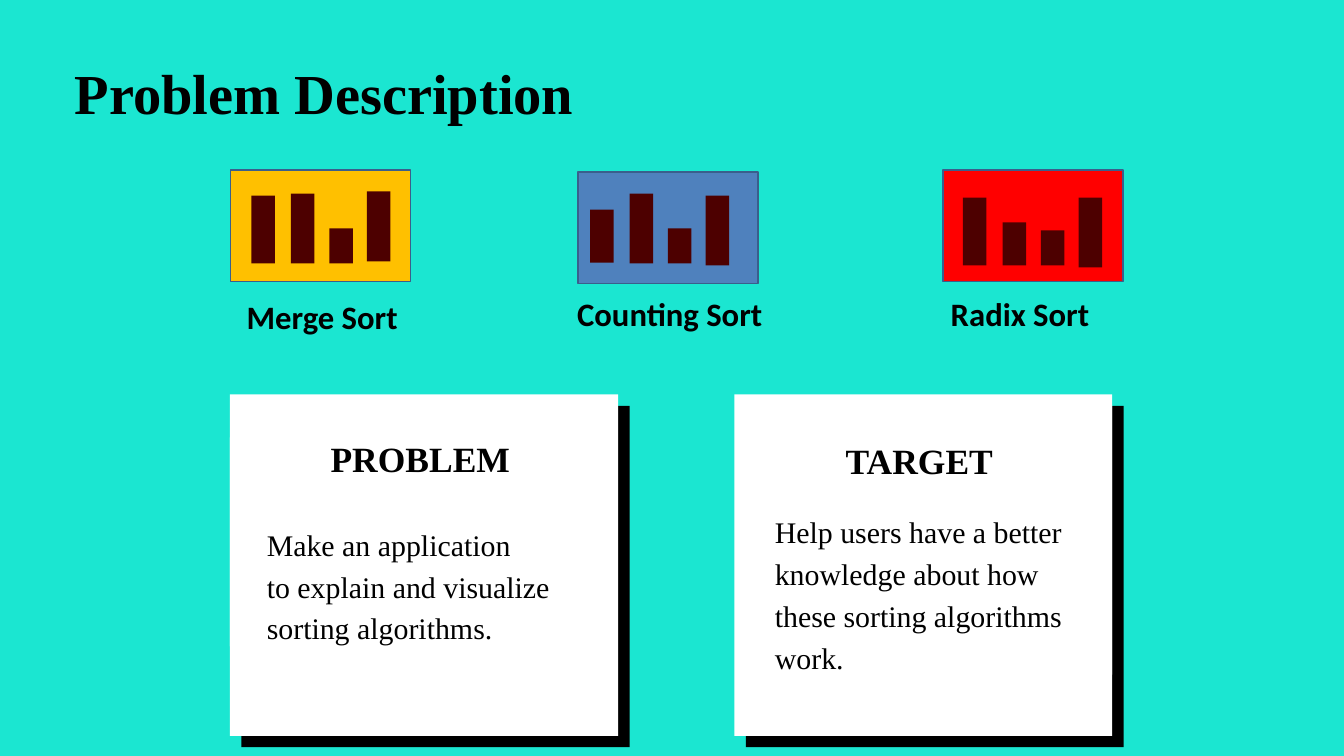
from pptx import Presentation, util as u
from pptx.dml.color import RGBColor
from pptx.enum import shapes, text

COLUMNS, ROWS = 20, 11.25
SERIF, SANS = "Times New Roman", "Calibri"
HEADING = {"size": u.Pt(38), "bold": True, "name": SERIF}
BODY = {"size": u.Pt(32), "bold": False, "name": SERIF}


def color(hex_code):
    return RGBColor.from_string(hex_code)


class Board:
    """Holds the style and the current slide; lengths are grid columns and rows."""
    background, ink, paper = "1BE6D1", "000000", "FFFFFF"
    bar, border = "4D0000", "3A5F8C"

    def __init__(self, deck):
        self.column = deck.slide_width / COLUMNS
        self.row = deck.slide_height / ROWS
        self.slide = deck.slides.add_slide(deck.slide_layouts[6])
        fill = self.slide.background.fill
        fill.solid()
        fill.fore_color.rgb = color(self.background)

    def area(self, left, top, width, height):
        return (round(left * self.column), round(top * self.row),
                round(width * self.column), round(height * self.row))

    def box(self, place, fill, border=None):
        box = self.slide.shapes.add_shape(
            shapes.MSO_SHAPE.RECTANGLE, *self.area(*place))
        box.shadow.inherit = False
        box.fill.solid()
        box.fill.fore_color.rgb = color(fill)
        if border:
            box.line.color.rgb = color(border)
            box.line.width = u.Pt(2)
        else:
            box.line.fill.background()
        return box

    def fill_text(self, frame, paragraphs, insets=(0, 0)):
        """Each paragraph is (words, font values, paragraph values, margins)."""
        side, top = (u.Inches(inset) for inset in insets)
        settings = {"word_wrap": True, "vertical_anchor": text.MSO_ANCHOR.TOP,
                    "margin_left": side, "margin_right": side,
                    "margin_top": top, "margin_bottom": 0}
        for name, value in settings.items():
            setattr(frame, name, value)
        for index, (words, font, layout, margins) in enumerate(paragraphs):
            line = frame.add_paragraph() if index else frame.paragraphs[0]
            line.text = words
            for name, value in {"alignment": text.PP_ALIGN.LEFT, **layout}.items():
                setattr(line, name, value)
            for name, value in margins.items():
                line._p.get_or_add_pPr().set(name, str(u.Inches(value)))
            for name, value in font.items():
                setattr(line.font, name, value)
            line.font.color.rgb = color(self.ink)

    def label(self, place, words, size, font, insets=(0, 0)):
        label = self.slide.shapes.add_textbox(*self.area(*place))
        style = {"size": u.Pt(size), "bold": True, "name": font}
        self.fill_text(label.text_frame, [(words, style, {}, {})], insets)

    def tile(self, left, top, fill, first_bar, bars):
        """A framed tile with four bars, each given as (top, height)."""
        self.box((left, top, 2.68, 1.66), fill, self.border)
        for step, (drop, height) in zip((0, 0.59, 1.16, 1.72), bars):
            self.box((left + first_bar + step, top + drop, 0.35, height), self.bar)

    def card(self, left, width, text_place, paragraphs, top_inset):
        """A white card over its black offset, with text on top."""
        for offset, fill in ((0.17, self.ink), (0, self.paper)):
            self.box((left + offset, 5.87 + offset, width, 5.08), fill)
        content = self.box(text_place, self.paper)
        self.fill_text(content.text_frame, paragraphs, (0, top_inset))


def main():
    deck = Presentation()
    deck.slide_width, deck.slide_height = u.Inches(COLUMNS), u.Inches(ROWS)
    board = Board(deck)

    # Title
    board.label((1.11, 0.86, 17.78, 1.04), "Problem Description", 60.5, SERIF)

    # Sorting algorithms: tile and caption
    algorithms = [
        ("Merge Sort", (3.57, 4.37, 2.71, 0.69), (3.43, 2.53), "FFC000", 0.31,
         [(0.38, 1.01), (0.35, 1.04), (0.87, 0.52), (0.32, 1.04)]),
        ("Counting Sort", (8.49, 4.33, 3.02, 0.69), (8.6, 2.56), "4F81BD", 0.18,
         [(0.56, 0.79), (0.32, 1.04), (0.84, 0.52), (0.35, 1.04)]),
        ("Radix Sort", (14.05, 4.33, 2.67, 0.69), (14.03, 2.53), "FF0000", 0.3,
         [(0.41, 1.01), (0.78, 0.64), (0.9, 0.52), (0.41, 1.04)]),
    ]
    for caption, caption_place, corner, fill, first_bar, bars in algorithms:
        board.tile(*corner, fill, first_bar, bars)
        board.label(caption_place, caption, 35, SANS, (0.1, 0.05))

    # Problem card
    spaced = {"line_spacing": 1.17}
    indent = {"marL": 0.55}
    board.card(3.42, 5.78, (3.42, 6.51, 5.6, 3.11), [
        ("PROBLEM", HEADING, {}, {"marL": 1.5}),
        ("Make an application", BODY, {**spaced, "space_before": u.Pt(43)}, indent),
        ("to explain and visualize sorting algorithms.", BODY, spaced, indent),
    ], 0)

    # Target card
    margins = {"marL": 0.47, "marR": 0.72}
    board.card(10.93, 5.62, (11.06, 6.03, 5.49, 4.01), [
        ("TARGET", HEADING, {**spaced, "alignment": text.PP_ALIGN.CENTER}, margins),
        ("Help users have a better knowledge about how these sorting algorithms work.",
         BODY, {**spaced, "space_before": u.Pt(28.2)}, margins),
    ], 0.39)

    deck.save("out.pptx")


if __name__ == "__main__":
    main()
